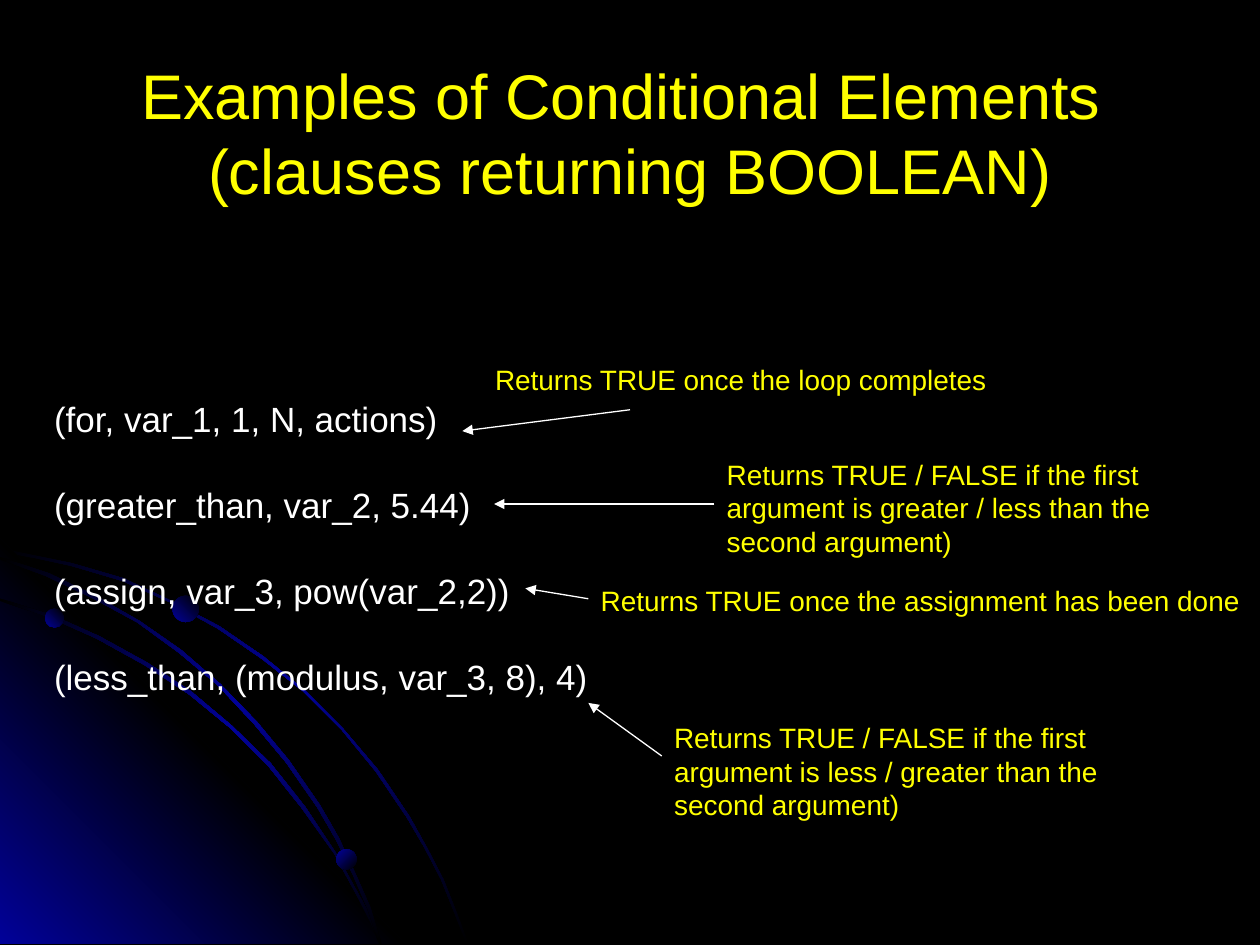
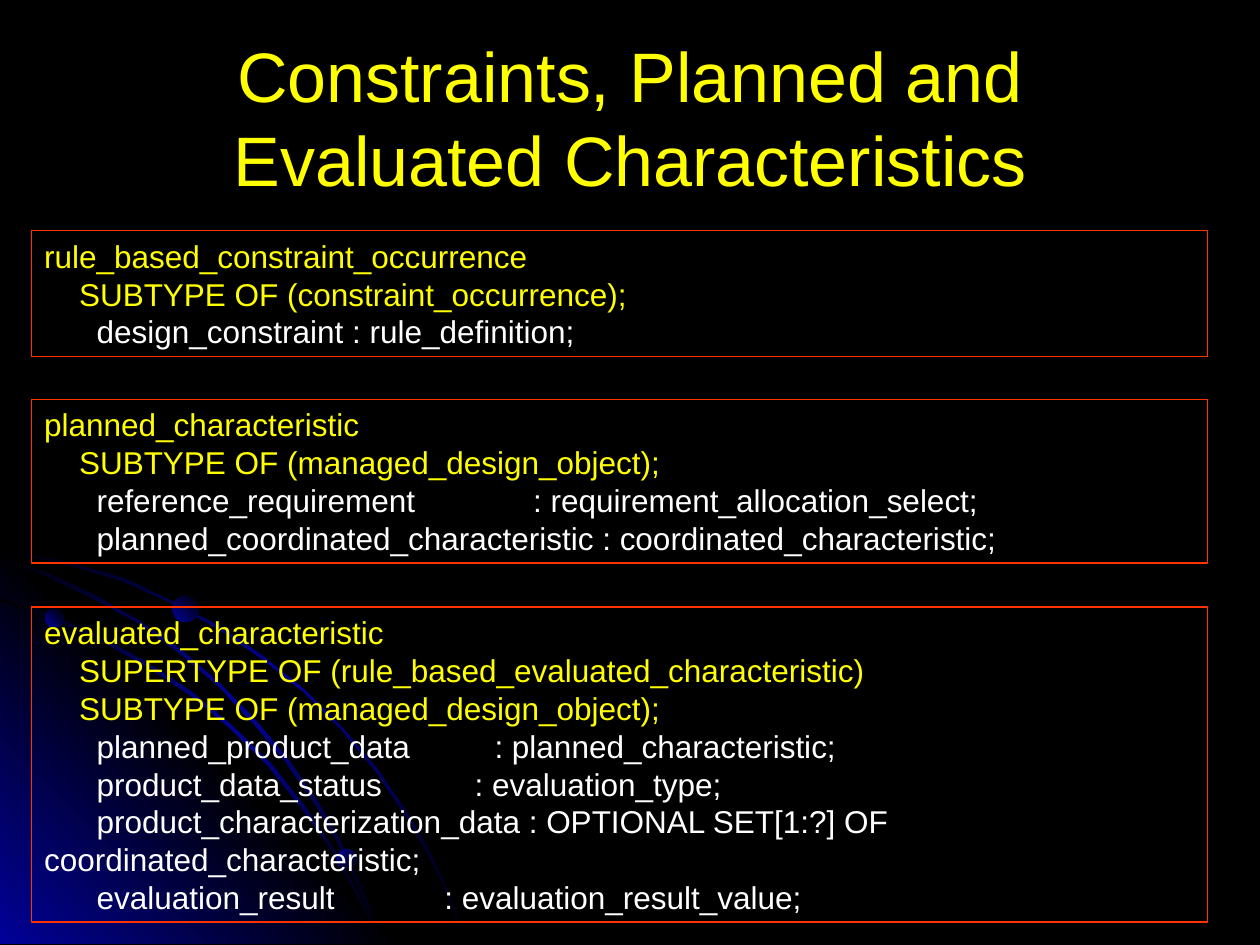
from lxml import etree
from pptx import Presentation, util as u
from pptx.dml.color import RGBColor
from pptx.enum import shapes, text
from pptx.oxml import ns

BLACK, BLUE, YELLOW, WHITE, RED = "000000", "010199", "FFFF00", "FFFFFF", "FF3300"
FONT = "Arial"

GLOW = (BLACK, BLUE, BLACK)
CORNER = (BLUE, BLACK, BLUE)
OUTER_ARC = [
    (57, 447), (28, 441), (0, 435), (0, 438), (28, 443), (56, 449), (97, 461),
    (135, 478), (173, 499), (208, 523), (241, 549), (271, 579), (298, 612),
    (323, 649), (337, 673), (350, 698), (360, 723), (370, 749), (372, 749),
    (362, 723), (352, 698), (339, 673), (325, 648), (300, 611), (272, 578),
    (242, 548), (209, 521), (174, 497), (136, 477), (98, 459)]
CORNER_TRIANGLE = [(322, 749), (0, 749), (0, 427)]
INNER_ARC = [
    (285, 714), (294, 732), (301, 749), (303, 749), (296, 730), (286, 712),
    (266, 676), (242, 640), (215, 606), (184, 576), (152, 549), (117, 526),
    (79, 505), (41, 488), (0, 475), (0, 477), (39, 490), (77, 507), (115, 528),
    (150, 551), (183, 578), (213, 608), (240, 642), (265, 677)]
MIDDLE_ARC = [
    (0, 442), (0, 444), (36, 457), (74, 475), (109, 494), (142, 518), (173, 544),
    (202, 575), (227, 605), (252, 641), (267, 667), (280, 694), (292, 722),
    (301, 749), (303, 749), (294, 720), (282, 693), (269, 665), (254, 639),
    (229, 603), (204, 573), (175, 543), (144, 516), (111, 493), (76, 473), (39, 455)]
OUTLINES = [(OUTER_ARC, GLOW, 225), (CORNER_TRIANGLE, CORNER, 135),
            (INNER_ARC, GLOW, 225), (MIDDLE_ARC, GLOW, 225)]
PLANETS = [(0.91, 12.27, 0.38, 135), (6.78, 17.12, 0.41, 225), (3.48, 12.01, 0.53, 135)]

CONDITIONS = ["(for, var_1, 1, N, actions)", "(greater_than, var_2, 5.44)",
              "(assign, var_3, pow(var_2,2))", "(less_than, (modulus, var_3, 8), 4)"]
CALLOUTS = [
    ("Returns TRUE once the loop completes",
     (9.73, 7.19, 12.5, 0.94), (12.7, 8.26, 9.32, 8.69)),
    ("Returns TRUE / FALSE if the first argument is greater / less than the second argument)",
     (14.4, 9.09, 11, 2.29), (14.4, 10.16, 9.96, 10.16)),
    ("Returns TRUE once the assignment has been done",
     (11.86, 11.63, 13.54, 0.94), (11.86, 12.07, 10.59, 11.86)),
    ("Returns TRUE / FALSE if the first argument is less / greater than the second argument)",
     (13.34, 14.4, 11, 2.29), (13.34, 15.24, 11.86, 14.17)),
]

ATTRIBUTE_INDENT = "      "
ENTITIES = [
    (4.65, 2.54, [
        ("rule_based_constraint_occurrence", None),
        ("    SUBTYPE OF (constraint_occurrence);", None),
        ("      design_constraint : rule_definition;", None)]),
    (8.05, 3.3, [
        ("planned_characteristic", None),
        ("    SUBTYPE OF (managed_design_object);", None),
        ("      reference_requirement\t: requirement_allocation_select;", 9.86),
        ("      planned_coordinated_characteristic : coordinated_characteristic;", None)]),
    (12.24, 6.35, [
        ("evaluated_characteristic", None),
        ("    SUPERTYPE OF (rule_based_evaluated_characteristic)", None),
        ("    SUBTYPE OF (managed_design_object);", None),
        ("      planned_product_data\t: planned_characteristic;", 9.08),
        ("      product_data_status\t: evaluation_type;", 8.68),
        ("      product_characterization_data : OPTIONAL SET[1:?] OF coordinated_characteristic;", None),
        ("      evaluation_result\t: evaluation_result_value;", 8.07)]),
]


def color(value):
    return RGBColor.from_string(value)


def cm(values):
    return [u.Cm(value) for value in values]


def add_xml(parent, tag, **attributes):
    return etree.SubElement(parent, ns.qn(tag), {k: str(v) for k, v in attributes.items()})


def paint_gradient(shape, colors, angle):
    shape.shadow.inherit = False
    shape.line.fill.background()
    shape.fill.background()
    properties = shape.element.spPr
    gradient = etree.Element(ns.qn("a:gradFill"), rotWithShape="1")
    stops = add_xml(gradient, "a:gsLst")
    for index, value in enumerate(colors):
        stop = add_xml(stops, "a:gs", pos=100000 * index // (len(colors) - 1))
        add_xml(stop, "a:srgbClr", val=value)
    add_xml(gradient, "a:lin", ang=angle * 60000, scaled=0)
    properties.replace(properties.find(ns.qn("a:noFill")), gradient)


def draw_backdrop(page):
    page.background.fill.solid()
    page.background.fill.fore_color.rgb = color(BLACK)
    for points, colors, angle in OUTLINES:
        builder = page.shapes.build_freeform(*points[0], scale=u.Cm(2.54) / 100)
        builder.add_line_segments(points[1:], close=True)
        paint_gradient(builder.convert_to_shape(), colors, angle)
    for left, top, size, angle in PLANETS:
        planet = page.shapes.add_shape(shapes.MSO_SHAPE.OVAL, *cm((left, top, size, size)))
        paint_gradient(planet, (BLACK, BLUE), angle)


def write(paragraph, words, size, value, align=text.PP_ALIGN.LEFT):
    paragraph.text = words
    paragraph.alignment = align
    for span in paragraph.runs:
        span.font.name = FONT
        span.font.size = u.Pt(size)
        span.font.color.rgb = color(value)


def add_lines(frame, count):
    frame.word_wrap = True
    return [frame.paragraphs[0]] + [frame.add_paragraph() for _ in range(count - 1)]


def add_text(page, place, lines, size, value, align=text.PP_ALIGN.LEFT):
    frame = page.shapes.add_textbox(*cm(place)).text_frame
    paragraphs = add_lines(frame, len(lines))
    for paragraph, words in zip(paragraphs, lines):
        write(paragraph, words, size, value, align)
    return frame


def add_page(deck, title, top, size):
    page = deck.slides.add_slide(deck.slide_layouts[6])
    draw_backdrop(page)
    frame = add_text(page, (1.27, top, 22.86, 3.18), [title], size, YELLOW, text.PP_ALIGN.CENTER)
    frame.vertical_anchor = text.MSO_ANCHOR.MIDDLE
    return page


def add_arrow(page, ends):
    arrow = page.shapes.add_connector(shapes.MSO_CONNECTOR.STRAIGHT, *cm(ends))
    arrow.line.color.rgb = color(WHITE)
    arrow.line.width = u.Pt(0.75)
    properties = arrow.element.spPr
    add_xml(properties.find(ns.qn("a:ln")), "a:tailEnd", type="triangle")
    add_xml(properties, "a:effectLst")


def add_entity(page, top, height, lines):
    box = page.shapes.add_shape(shapes.MSO_SHAPE.RECTANGLE, *cm((0.64, top, 23.7, height)))
    box.shadow.inherit = False
    box.fill.background()
    box.line.color.rgb = color(RED)
    box.line.width = u.Pt(0.75)
    box.text_frame.vertical_anchor = text.MSO_ANCHOR.TOP
    for paragraph, (words, stop) in zip(add_lines(box.text_frame, len(lines)), lines):
        if stop:
            tabs = add_xml(paragraph._p.get_or_add_pPr(), "a:tabLst")
            add_xml(tabs, "a:tab", pos=u.Cm(stop), algn="l")
        write(paragraph, words, 18, WHITE if words.startswith(ATTRIBUTE_INDENT) else YELLOW)


def main():
    deck = Presentation()
    deck.slide_width, deck.slide_height = cm((25.4, 19.05))

    page = add_page(deck, "Examples of Conditional Elements \v(clauses returning BOOLEAN)", 1.07, 36)
    conditions = add_text(page, (0.84, 8.05, 19.89, 7.09), CONDITIONS, 20, WHITE)
    for index, paragraph in enumerate(conditions.paragraphs):
        paragraph.line_spacing = 0.8
        paragraph.space_before = u.Pt(30 if index else 0)
    for words, place, ends in CALLOUTS:
        add_text(page, place, [words], 16, YELLOW)
        add_arrow(page, ends)

    page = add_page(deck, "Constraints, Planned and Evaluated Characteristics", 0.76, 40)
    for top, height, lines in ENTITIES:
        add_entity(page, top, height, lines)

    deck.save("out.pptx")


if __name__ == "__main__":
    main()
